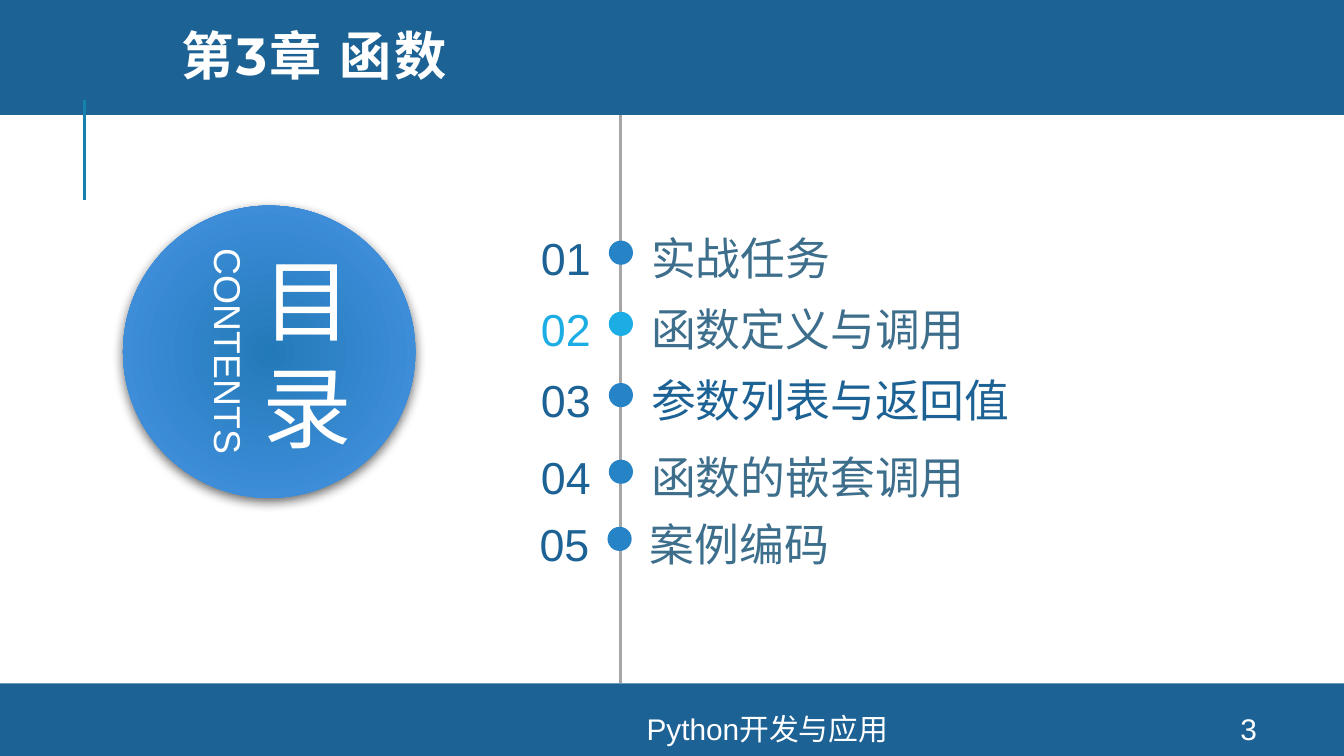
from lxml import etree
from pptx import Presentation
from pptx import util as u
from pptx.dml.color import RGBColor
from pptx.enum import shapes, text
from pptx.oxml import parse_xml
from pptx.oxml.ns import nsdecls, qn

PX = 4572  # 200 px to the inch
C = {"navy": "1D6294", "white": "FFFFFF", "teal": "1482AC", "grey": "A6A6A6",
     "blue": "2683C6", "cyan": "1CADE4", "slate": "3D6E8C"}
AL, MID, TOP = text.PP_ALIGN, text.MSO_ANCHOR.MIDDLE, text.MSO_ANCHOR.TOP

prs = Presentation()
prs.slide_width, prs.slide_height = 2000 * PX, 1125 * PX
s = prs.slides.add_slide(prs.slide_layouts[6])


def add_shape(kind, box, color):
    sp = s.shapes.add_shape(kind, *(v * PX for v in box))
    sp.shadow.inherit = False
    sp.fill.solid()
    sp.fill.fore_color.rgb = RGBColor.from_string(C[color])
    sp.line.fill.background()
    return sp


def add_text(box, lines, size, color="white", align=AL.CENTER, anchor=TOP,
             inset=True, font="Arial", bold=None, spacing=0, grow=False):
    """Add a text box with one paragraph per line; spacing is in 1/100 pt."""
    sp = s.shapes.add_textbox(*(v * PX for v in box))
    tf = sp.text_frame
    fmt = {"word_wrap": True, "vertical_anchor": anchor}
    if grow:
        fmt["auto_size"] = text.MSO_AUTO_SIZE.SHAPE_TO_FIT_TEXT
    if not inset:
        fmt.update({f"margin_{side}": 0 for side in ("left", "top", "right", "bottom")})
    for name, value in fmt.items():
        setattr(tf, name, value)
    for i, line in enumerate(lines):
        p = tf.add_paragraph() if i else tf.paragraphs[0]
        p.alignment = align
        r = p.add_run()
        r.text = line
        for name, value in {"size": u.Pt(size), "name": font, "bold": bold}.items():
            setattr(r.font, name, value)
        r.font.color.rgb = RGBColor.from_string(C[color])
        if spacing:
            r.font._element.set("spc", str(spacing))
    return sp


# Header and footer bands
for top, height in ((-6, 177), (1017, 108)):
    add_shape(shapes.MSO_SHAPE.RECTANGLE, (0, top, 2000, height), "navy")

# Vertical rules
for x, y1, y2, color in ((126, 298, 149, "teal"), (924, 171, 1017, "grey")):
    ln = s.shapes.add_connector(shapes.MSO_CONNECTOR.STRAIGHT, x * PX, y1 * PX, x * PX, y2 * PX)
    ln.line.color.rgb = RGBColor.from_string(C[color])
    ln.line.width = u.Pt(1.5)
    etree.SubElement(ln._element.spPr, qn("a:effectLst"))

# Contents disc: radial gradient and soft shadow
disc = add_shape(shapes.MSO_SHAPE.OVAL, (183, 306, 435, 435), "blue")
spPr = disc._element.spPr
spPr.replace(spPr.find(qn("a:solidFill")), parse_xml(
    f'<a:gradFill {nsdecls("a")} rotWithShape="1"><a:gsLst>'
    '<a:gs pos="0"><a:srgbClr val="237AB8"/></a:gs>'
    '<a:gs pos="100000"><a:srgbClr val="4895E7"/></a:gs></a:gsLst>'
    '<a:path path="circle"><a:fillToRect l="100000" t="100000" r="100000" b="100000"/>'
    '</a:path></a:gradFill>'))
spPr.replace(spPr.find(qn("a:effectLst")), parse_xml(
    f'<a:effectLst {nsdecls("a")}><a:outerShdw blurRad="76200" dist="25400" dir="5400000" '
    'algn="t" rotWithShape="0"><a:srgbClr val="000000"><a:alpha val="60000"/></a:srgbClr>'
    '</a:outerShdw></a:effectLst>'))
add_text((316, 322, 282, 404), ["目", "录"], 48, anchor=MID, inset=False, spacing=600)
add_text((129, 479, 422, 88), ["CONTENTS"], 20, grow=True).rotation = 90

# Footer and page number
add_text((521, 1062, 1242, 46), ["Python开发与应用"], 16, anchor=MID)
add_text((1778, 1062, 160, 46), ["3"], 16, anchor=MID)

# Title
title = add_text((250, 18, 1652, 144), ["第3章 函数"], 28, align=AL.LEFT, anchor=MID,
                 font="Montserrat", bold=True, spacing=150)
title.text_frame.paragraphs[0].line_spacing = 0.8

# Agenda: left and top of dot, label height, label, colours of dot, number, label
agenda = [
    (906, 358, 80, "实战任务", "blue", "navy", "slate"),
    (906, 464, 80, "函数定义与调用", "cyan", "cyan", "slate"),
    (906, 570, 80, "参数列表与返回值", "blue", "navy", "navy"),
    (906, 684, 162, "函数的嵌套调用", "blue", "navy", "slate"),
    (904, 784, 162, "案例编码", "blue", "navy", "slate"),
]
for i, (x, y, height, label, dot, number, color) in enumerate(agenda, 1):
    add_shape(shapes.MSO_SHAPE.OVAL, (x, y, 36, 36), dot)
    add_text((x - 145, y - 15, 118, 80), [f"{i:02}"], 24, number, AL.RIGHT,
             inset=False, grow=True)
    add_text((x + 63, y - 15, 674, height), [label], 24, color, AL.LEFT,
             inset=False, grow=True)

prs.save("out.pptx")
